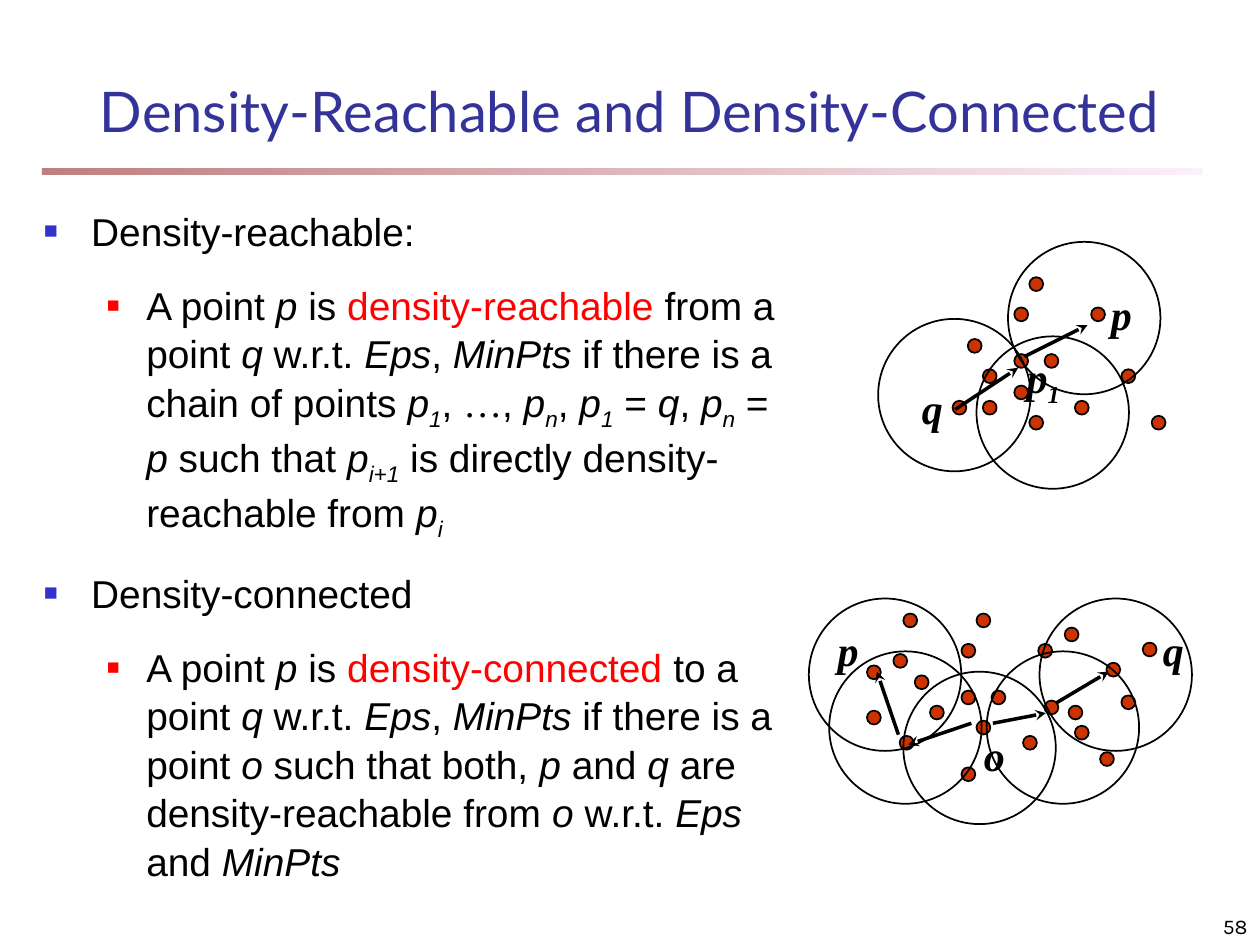
from lxml.etree import SubElement
from pptx import Presentation
from pptx.dml.color import RGBColor
from pptx.enum.shapes import MSO_CONNECTOR as Connector, MSO_SHAPE as Shape
from pptx.enum.text import MSO_ANCHOR as Anchor, PP_ALIGN as Align
from pptx.oxml.ns import qn
from pptx.util import Pt

COLORS = {
    "text": "000000", "title": "333399", "bullet": "3333CC", "accent": "FF0000",
    "dot": "CC3300", "rule_start": "800000", "rule_end": "FAE2F6",
}
DOT_SIZE = 7.9
CIRCLE_SIZE = 87.1

# Each "|" starts a run; its first character is the style:
# "." plain, "/" italic, "_" italic subscript, "!" accent, "~" serif.
BODY = [
    (0, ".Density-reachable:"),
    (1, ".A point |/p|. is |!density-reachable|. from a point |/q|. w.r.t. |/Eps|., "
        "|/MinPts|. if there is a chain of points |/p|_1|., |~…|., |/p|_n|., |/p|_1|. = "
        "|/q|., |/p|_n|. = |/p|. such that |/p|_i+1|. is directly density-reachable "
        "from |/p|_i"),
    (0, ".Density-connected"),
    (1, ".A point |/p|. is |!density-connected|. to a point |/q|. w.r.t. |/Eps|., "
        "|/MinPts|. if there is a point |/o |.such that both, |/p|. and |/q|. are "
        "density-reachable from |/o|. w.r.t. |/Eps|. and |/MinPts"),
]
LEVELS = [(27, -27, "bullet", 60), (58.5, -22.5, "accent", 55)]

REACHABLE = {
    "dots": [(53, 55.7), (79.6, 64.3), (79.6, 37.7), (44.3, 91), (61.6, 73), (61.6, 91),
             (88.2, 99.6), (88.2, 20.4), (140.8, 73), (123.5, 37.7), (79.6, 82.3),
             (96.9, 64.3), (114.2, 91), (158.1, 99.6)],
    "circles": [(58, 54.2), (1.8, 44.2), (76, 0.2)],
    "labels": [("/p", 127.8, 23.3), ("/q", 19.8, 77.3), ("/p|_1", 79.6, 59.3)],
    "arrows": [(85.4, 65.8, 121.4, 47.8), (45.8, 96, 81.8, 72.2)],
}
CONNECTED = {
    "dots": [(62.7, 45.9), (89.4, 54.6), (89.4, 27.9), (54.1, 80.5), (71.4, 63.2),
             (89.4, 98.5), (98, 71.8), (98, 10.6), (150.6, 63.2), (133.3, 27.9),
             (35.4, 66.1), (106.6, 54.6), (124.6, 80.5), (168.6, 89.8), (180.8, 57.4),
             (136.9, 60.3), (154.2, 74.7), (193, 27.2), (148.4, 18.6), (172.2, 38.7),
             (50.5, 33.7), (35.4, 40.2), (56.2, 10.6)],
    "circles": [(13.8, 32.2), (56.2, 43.8), (103.8, 32.2), (134, 2), (2.2, 2)],
    "labels": [("/p", 11.6, 13.5), ("/q", 197.4, 13.5), ("/o", 95.1, 73.3)],
    "arrows": [(95.1, 73.3, 59.1, 85.5), (107.4, 73.3, 137.6, 67.5),
               (53.4, 79.8, 41.1, 43.8), (143.4, 61.8, 173.6, 43.8)],
}


def rgb(name):
    """Return the named colour."""
    return RGBColor.from_string(COLORS[name])


def style_font(font, name, size, color="text"):
    """Set the typeface, size and colour of a font."""
    font.name, font.size = name, Pt(size)
    font.color.rgb = rgb(color)


def add_runs(para, marked, name, size, bold=False):
    """Add the runs of a marked-up string to a paragraph."""
    for part in marked.split("|"):
        style, text = part[0], part[1:]
        span = para.add_run()
        span.text = text
        style_font(span.font, "Times New Roman" if style == "~" else name, size,
                   "accent" if style == "!" else "text")
        span.font.bold, span.font.italic = bold, style in "/_"
        if style == "_":
            span.font._element.set("baseline", "-25000")


def add_text_box(page, left, top, width, height):
    """Add a wrapping text box and return its text frame."""
    frame = page.shapes.add_textbox(Pt(left), Pt(top), Pt(width), Pt(height)).text_frame
    frame.word_wrap = True
    return frame


def add_bullet(para, color, percent):
    """Give a paragraph a square bullet."""
    props = para._p.get_or_add_pPr()
    SubElement(SubElement(props, qn("a:buClr")), qn("a:srgbClr"), val=COLORS[color])
    SubElement(props, qn("a:buSzPct"), val=str(percent * 1000))
    SubElement(props, qn("a:buFont"), typeface="Arial")
    SubElement(props, qn("a:buChar"), char="■")


def add_title(page, left, top, width, height):
    """Place and format the title."""
    title = page.shapes.title
    title.left, title.top, title.width, title.height = map(Pt, (left, top, width, height))
    frame = title.text_frame
    frame.text = "Density-Reachable and Density-Connected"
    frame.vertical_anchor = Anchor.MIDDLE
    para = frame.paragraphs[0]
    para.alignment = Align.CENTER
    style_font(para.runs[0].font, "Lato", 32, "title")


def add_rule(page, left, top, width, height):
    """Draw the fading bar under the title."""
    rule = page.shapes.add_shape(Shape.RECTANGLE, Pt(left), Pt(top), Pt(width), Pt(height))
    rule.shadow.inherit = False
    rule.line.fill.background()
    rule.fill.gradient()
    rule.fill.gradient_angle = 0
    for stop, color, position in zip(rule.fill.gradient_stops,
                                     ("rule_start", "rule_end"), (0, 1)):
        stop.color.rgb, stop.position = rgb(color), position
    for color in rule._element.spPr.iter(qn("a:srgbClr")):
        SubElement(color, qn("a:alpha"), val="50000")


def add_body(page, left, top, width, height):
    """Write the two definitions as a bulleted list."""
    frame = add_text_box(page, left, top, width, height)
    for index, (level, marked) in enumerate(BODY):
        para = frame.add_paragraph() if index else frame.paragraphs[0]
        margin, indent, color, percent = LEVELS[level]
        para.level, para.line_spacing = level, 1.04
        para.space_before = Pt(14.6 if index else 0)
        props = para._p.get_or_add_pPr()
        props.set("marL", str(Pt(margin)))
        props.set("indent", str(Pt(indent)))
        add_bullet(para, color, percent)
        add_runs(para, marked, "Arial", 22.2)


def add_circle(page, left, top, size, color=None):
    """Draw an outlined circle, filled when a colour is given."""
    circle = page.shapes.add_shape(Shape.OVAL, Pt(left), Pt(top), Pt(size), Pt(size))
    circle.shadow.inherit = False
    circle.line.color.rgb, circle.line.width = rgb("text"), Pt(1)
    if color:
        circle.fill.solid()
        circle.fill.fore_color.rgb = rgb(color)
    else:
        circle.fill.background()


def add_arrow(page, *ends):
    """Draw an arrow from its first point to its second."""
    arrow = page.shapes.add_connector(Connector.STRAIGHT, *map(Pt, ends))
    arrow.line.color.rgb, arrow.line.width = rgb("text"), Pt(2)
    SubElement(arrow.line._get_or_add_ln(), qn("a:tailEnd"), type="stealth")
    SubElement(arrow._element.spPr, qn("a:effectLst"))


def add_diagram(page, left, top, diagram):
    """Draw points, neighbourhoods, labels and arrows from a corner."""
    for x, y in diagram["dots"]:
        add_circle(page, left + x, top + y, DOT_SIZE, "dot")
    for x, y in diagram["circles"]:
        add_circle(page, left + x, top + y, CIRCLE_SIZE)
    for marked, x, y in diagram["labels"]:
        width = 48 if "|" in marked else 30
        frame = add_text_box(page, left + x, top + y, width, 36)
        add_runs(frame.paragraphs[0], marked, "Times New Roman", 24, bold=True)
    for x1, y1, x2, y2 in diagram["arrows"]:
        add_arrow(page, left + x1, top + y1, left + x2, top + y2)


def add_page_number(page, left, top, width, height):
    """Write the page number at the lower right."""
    frame = add_text_box(page, left, top, width, height)
    frame.vertical_anchor = Anchor.BOTTOM
    para = frame.paragraphs[0]
    para.alignment = Align.RIGHT
    add_runs(para, ".58", "Karla", 12)


def main():
    """Build and save the slide."""
    deck = Presentation()
    deck.slide_width, deck.slide_height = Pt(720), Pt(540)
    page = deck.slides.add_slide(deck.slide_layouts[5])
    add_rule(page, 24, 96, 662.4, 4)
    add_title(page, 0, 30, 720, 66)
    add_body(page, 18, 114, 444, 396)
    add_diagram(page, 500, 138, REACHABLE)
    add_diagram(page, 460, 340, CONNECTED)
    add_page_number(page, 570, 510, 150, 30)
    deck.save("out.pptx")


if __name__ == "__main__":
    main()
